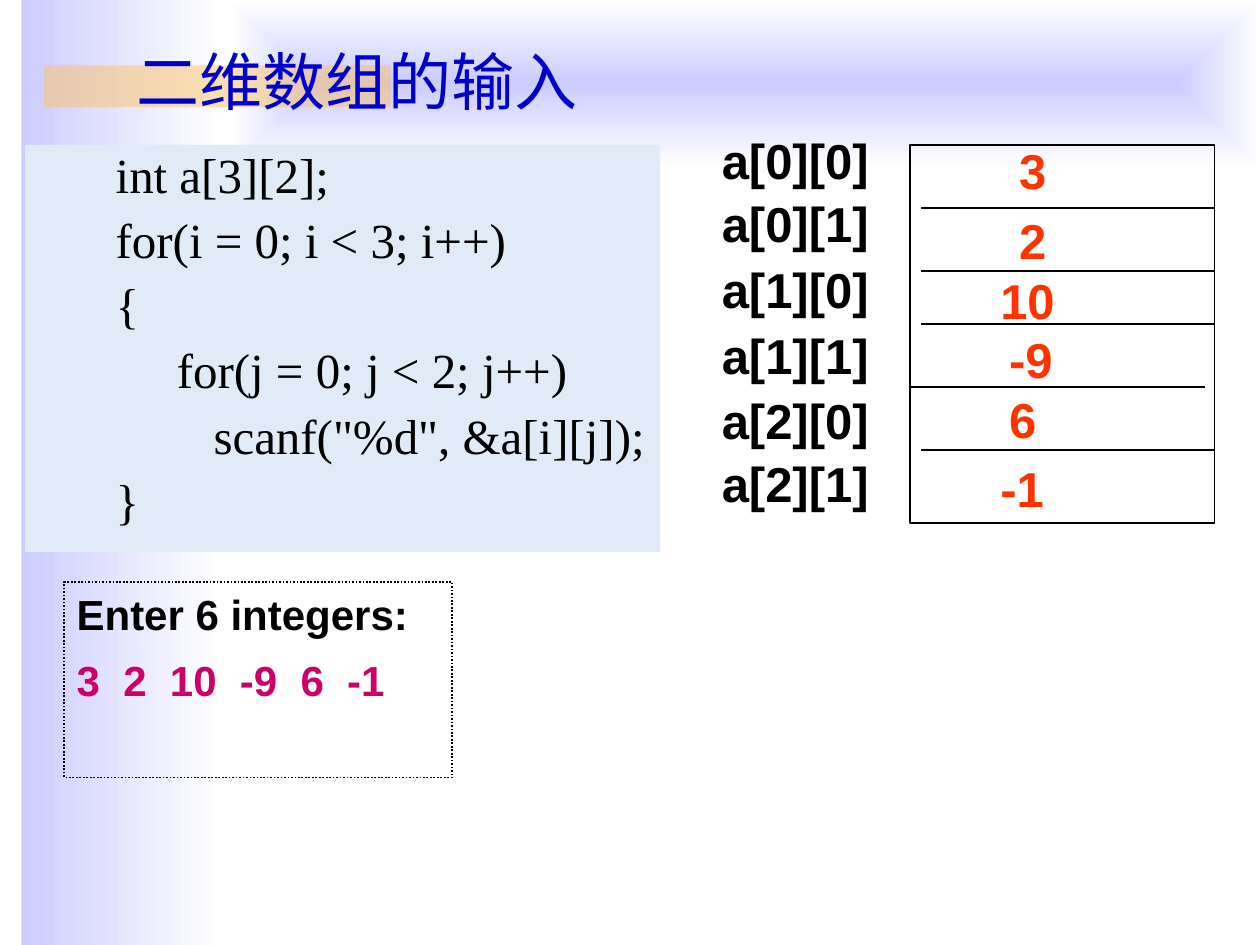
from lxml import etree
from pptx import Presentation
from pptx.dml.color import RGBColor
from pptx.enum.dml import MSO_LINE_DASH_STYLE as DASH
from pptx.enum.shapes import MSO_CONNECTOR, MSO_SHAPE
from pptx.enum.text import MSO_ANCHOR, MSO_AUTO_SIZE, PP_ALIGN
from pptx.oxml.ns import qn
from pptx.util import Inches, Pt

COLORS = {
    "lavender": "CCCCFF", "white": "FFFFFF", "amber": "FAC164",
    "title": "0000CC", "code": "E1EBF7", "ink": "000000",
    "input": "CC0066", "value": "FF3300",
}
SERIF, SANS = "Times New Roman", "Arial"

# Content
TITLE = "二维数组的输入"
CODE = [
    "int a[3][2];",
    "for(i = 0; i < 3; i++)",
    "{",
    "     for(j = 0; j < 2; j++)",
    "        scanf(\"%d\", &a[i][j]);",
    "}",
]
CONSOLE = [("Enter 6 integers:", "ink"), ("3  2  10  -9  6  -1", "input")]
ELEMENTS = [f"a[{row}][{column}]" for row in range(3) for column in range(2)]
# Value, left, top, width
VALUES = [
    ("3", 7.99, 1.07, 0.39), ("2", 7.99, 1.62, 0.39), ("10", 7.84, 2.1, 0.79),
    ("-9", 7.91, 2.57, 0.71), ("6", 7.91, 3.04, 0.71), ("-1", 7.84, 3.59, 0.71),
]
# Memory cells: frame and the dividers as (left, right, height)
MEMORY = (7.22, 1.15, 2.42, 3)
DIVIDERS = [
    (7.31, 9.64, 1.65), (7.31, 9.64, 2.15), (7.31, 9.64, 2.57),
    (7.22, 9.56, 3.07), (7.31, 9.64, 3.57),
]


def rgb(name):
    return RGBColor.from_string(COLORS[name])


def add_rectangle(shapes, box, fill=None, line=None):
    shape = shapes.add_shape(MSO_SHAPE.RECTANGLE, *map(Inches, box))
    shape.shadow.inherit = False
    if fill:
        shape.fill.solid()
        shape.fill.fore_color.rgb = rgb(fill)
    else:
        shape.fill.background()
    if line:
        shape.line.color.rgb = rgb(line)
        shape.line.width = Pt(1)
    else:
        shape.line.fill.background()
    return shape


def add_gradient(shapes, box):
    shape = add_rectangle(shapes, box)
    shape.fill.gradient()
    shape.fill.gradient_angle = 0
    for stop, position, color in zip(shape.fill.gradient_stops, (0, 1), ("lavender", "white")):
        stop.position = position
        stop.color.rgb = rgb(color)
    return shape


def add_text_box(shapes, box):
    frame = shapes.add_textbox(*map(Inches, box)).text_frame
    frame.word_wrap = True
    return frame


def write(frame, lines, size, font, bold=False, align=PP_ALIGN.JUSTIFY, before=0):
    """Write (text, color) lines as paragraphs; the first has no space before."""
    for index, (text, color) in enumerate(lines):
        paragraph = frame.add_paragraph() if index else frame.paragraphs[0]
        paragraph.alignment = align
        paragraph.space_before = Pt(before if index else 0)
        run = paragraph.add_run()
        run.text = text
        run.font.size, run.font.name, run.font.bold = Pt(size), font, bold
        run.font.color.rgb = rgb(color)


presentation = Presentation()
presentation.slide_width, presentation.slide_height = Inches(10), Inches(7.5)
slide = presentation.slides.add_slide(presentation.slide_layouts[5])
shapes = slide.shapes

# Background bands
add_gradient(shapes, (0.17, 0, 1.58, 7.5))
top_band = add_gradient(shapes, (1.83, 0, 8.17, 1.33))
gradient = top_band.element.spPr.find(qn("a:gradFill"))
gradient.remove(gradient.find(qn("a:lin")))
glow = etree.SubElement(gradient, qn("a:path"), {"path": "rect"})
etree.SubElement(glow, qn("a:fillToRect"), {side: "50000" for side in "ltrb"})
accent = add_rectangle(shapes, (0.35, 0.52, 2.75, 0.33), "amber")
accent_color = accent.element.spPr.find(qn("a:solidFill"))[0]
etree.SubElement(accent_color, qn("a:alpha"), {"val": "50000"})

# Title, brought in front of the bands
title = shapes.title
title.left, title.top, title.width, title.height = map(Inches, (0.98, 0.28, 6.32, 0.71))
title.element.getparent().append(title.element)
title.text_frame.vertical_anchor = MSO_ANCHOR.BOTTOM
title.text_frame.auto_size = MSO_AUTO_SIZE.NONE
write(title.text_frame, [(TITLE, "title")], 36, SERIF, align=PP_ALIGN.LEFT)

# Code panel
code = add_rectangle(shapes, (0.2, 1.15, 5.04, 3.23), "code").text_frame
code.word_wrap = True
code.vertical_anchor = MSO_ANCHOR.TOP
write(code, [(line, "ink") for line in CODE], 28, SERIF, align=PP_ALIGN.LEFT, before=7)
for paragraph in code.paragraphs:
    paragraph.line_spacing = 0.9
    properties = paragraph._p.get_or_add_pPr()
    properties.set("marL", str(Inches(1.12)))
    properties.set("indent", str(Inches(-0.5)))

# Console
console = add_rectangle(shapes, (0.51, 4.62, 3.08, 1.55), line="ink")
console.line.dash_style = DASH.ROUND_DOT
console.text_frame.word_wrap = True
console.text_frame.vertical_anchor = MSO_ANCHOR.TOP
write(console.text_frame, CONSOLE, 24, SANS, bold=True, before=9)

# Stored values
for value, left, top, width in VALUES:
    frame = add_text_box(shapes, (left, top, width, 0.57))
    write(frame, [(value, "value")], 28, SANS, bold=True)

# Element names
names = add_text_box(shapes, (5.63, 0.99, 1.42, 3.23))
write(names, [(name, "ink") for name in ELEMENTS], 28, SANS, bold=True)
for paragraph in names.paragraphs[1:-1]:
    paragraph.space_before = paragraph.space_after = Pt(2)

# Memory cells
memory = shapes.add_group_shape()
add_rectangle(memory.shapes, MEMORY, line="ink")
for left, right, height in DIVIDERS:
    divider = memory.shapes.add_connector(
        MSO_CONNECTOR.STRAIGHT, *map(Inches, (left, height, right, height)))
    divider.line.color.rgb = rgb("ink")
    divider.line.width = Pt(1)
    etree.SubElement(divider.element.spPr, qn("a:effectLst"))

presentation.save("out.pptx")
